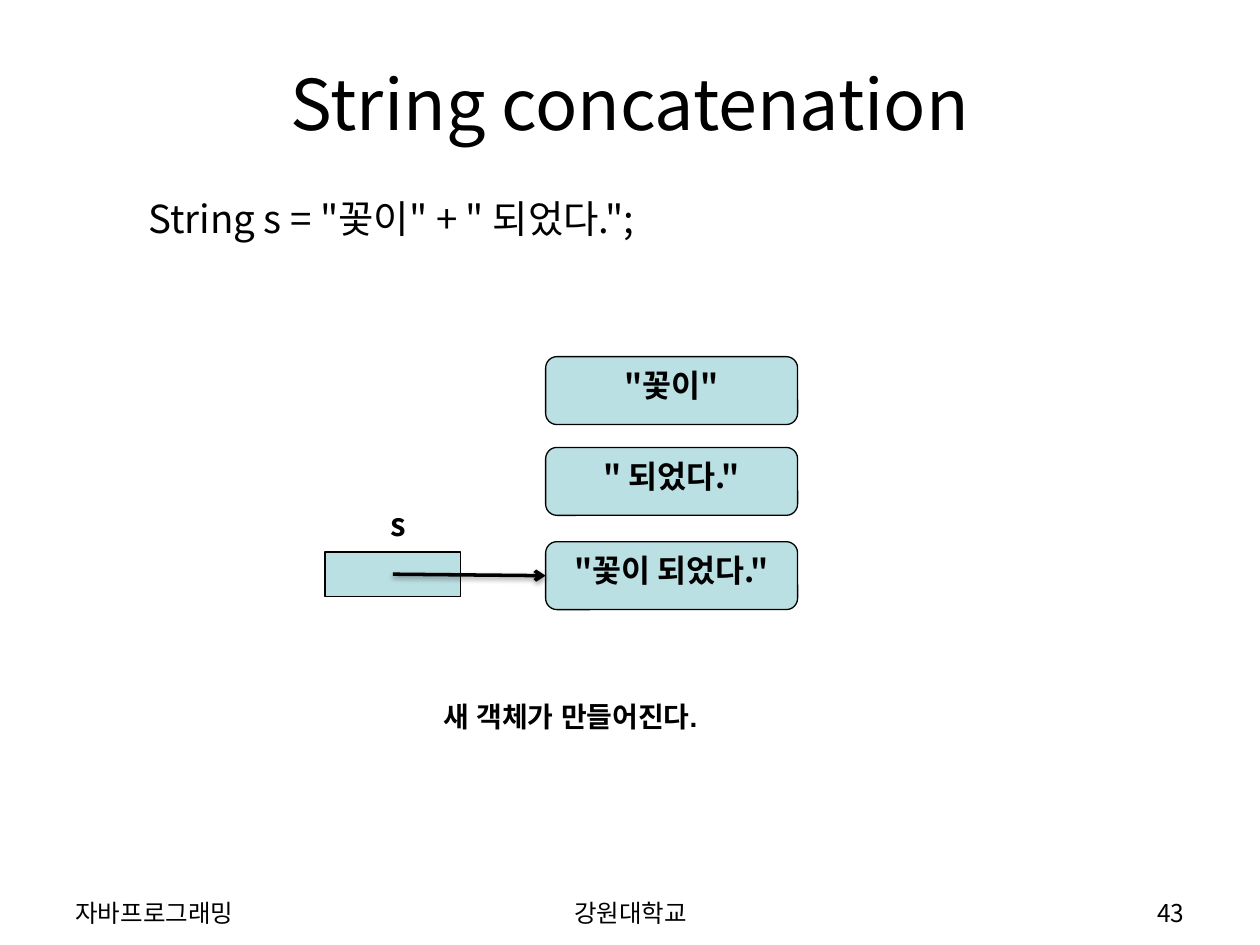
from dataclasses import dataclass

from lxml.etree import SubElement as Sub
from pptx import Presentation
from pptx.dml.color import RGBColor as RGB
from pptx.enum.shapes import MSO_CONNECTOR as LINE, MSO_SHAPE as SHAPE
from pptx.enum.text import MSO_ANCHOR as ANCHOR, MSO_AUTO_SIZE as FIT, PP_ALIGN as ALIGN
from pptx.oxml.ns import qn
from pptx.util import Cm, Pt


@dataclass(frozen=True)
class Theme:
    ink: RGB = RGB(0, 0, 0)
    fill: RGB = RGB(0xBB, 0xE0, 0xE3)
    paper: RGB = RGB(255, 255, 255)
    font: str = "Noto Sans CJK KR"
    alt: str = "Arial"
    title: int = 40
    body: int = 22
    label: int = 18
    note: int = 16
    foot: int = 14
    edge: float = 0.75
    arrow: float = 2


T = Theme()


def write(shape, text, size, bold=False, face=T.font, align=ALIGN.LEFT,
          anchor=ANCHOR.TOP, wrap=True):
    frame = shape.text_frame
    frame.word_wrap = wrap
    frame.auto_size = FIT.NONE if wrap else FIT.SHAPE_TO_FIT_TEXT
    frame.vertical_anchor = anchor
    par = frame.paragraphs[0]
    par.alignment = align
    run = par.add_run()
    run.text = text
    font = run.font
    font.name, font.size, font.bold = face, Pt(size), bold
    font.color.rgb = T.ink
    # East Asian glyphs need their own typeface entry
    Sub(font._element, qn("a:ea")).set("typeface", face)


def label(slide, box, text, size, **style):
    shape = slide.shapes.add_textbox(*map(Cm, box))
    write(shape, text, size, **style)


def block(slide, kind, box):
    shape = slide.shapes.add_shape(kind, *map(Cm, box))
    shape.shadow.inherit = False
    shape.fill.solid()
    shape.fill.fore_color.rgb = T.fill
    shape.line.color.rgb = T.ink
    shape.line.width = Pt(T.edge)
    return shape


def arrow(slide, x, y, goal):
    link = slide.shapes.add_connector(LINE.STRAIGHT, Cm(x), Cm(y), goal.left, goal.top)
    link.end_connect(goal, 1)
    link.line.color.rgb = T.ink
    link.line.width = Pt(T.arrow)
    props = link._element.spPr
    Sub(props.find(qn("a:ln")), qn("a:tailEnd")).set("type", "arrow")
    # Soft shadow straight below the line
    cast = Sub(Sub(props, qn("a:effectLst")), qn("a:outerShdw"),
               blurRad=str(Pt(3.1)), dist=str(Pt(1.6)), dir="5400000", rotWithShape="0")
    tint = Sub(cast, qn("a:srgbClr"), val=str(T.ink))
    Sub(tint, qn("a:alpha"), val="38000")


def head(slide, box):
    title = slide.shapes.title
    title.left, title.top, title.width, title.height = map(Cm, box)
    write(title, "String concatenation", T.title, align=ALIGN.CENTER, anchor=ANCHOR.MIDDLE)


def memory(slide, left, top):
    # String objects
    rows = ((0, '"꽃이"'), (1.83, '" 되었다."'), (3.73, '"꽃이 되었다."'))
    for y, text in rows:
        item = block(slide, SHAPE.ROUNDED_RECTANGLE, (left + 4.45, top + y, 5.08, 1.37))
        write(item, text, T.label, bold=True, align=ALIGN.CENTER)
    # Variable and its reference to the last object
    wide, high = 2.74, 0.89
    y = top + 3.94
    block(slide, SHAPE.RECTANGLE, (left, y, wide, high))
    label(slide, (left + 1.07, top + 2.87, 0.86, 1.02), "s", T.label, bold=True, wrap=False)
    arrow(slide, left + wide / 2, y + high / 2, item)


def foot(slide, left, top):
    parts = ((0, 6.78, "자바프로그래밍", ALIGN.LEFT),
             (7.42, 8.05, "강원대학교", ALIGN.CENTER),
             (16.94, 5.92, "43", ALIGN.RIGHT))
    for x, wide, text, align in parts:
        label(slide, (left + x, top, wide, 0.69), text, T.foot, align=align)


def main():
    deck = Presentation()
    deck.slide_width, deck.slide_height = Cm(25.4), Cm(19.05)
    slide = deck.slides.add_slide(deck.slide_layouts[5])
    slide.background.fill.solid()
    slide.background.fill.fore_color.rgb = T.paper
    head(slide, (1.27, 0.76, 22.86, 2.62))
    # Code line and remark
    label(slide, (2.74, 3.81, 21.39, 13.21), 'String s = "꽃이" + " 되었다.";', T.body)
    label(slide, (8.69, 13.97, 6.12, 0.94), "새 객체가 만들어진다.", T.note,
          bold=True, face=T.alt, wrap=False)
    memory(slide, 6.55, 7.19)
    foot(slide, 1.27, 17.98)
    deck.save("out.pptx")


if __name__ == "__main__":
    main()
